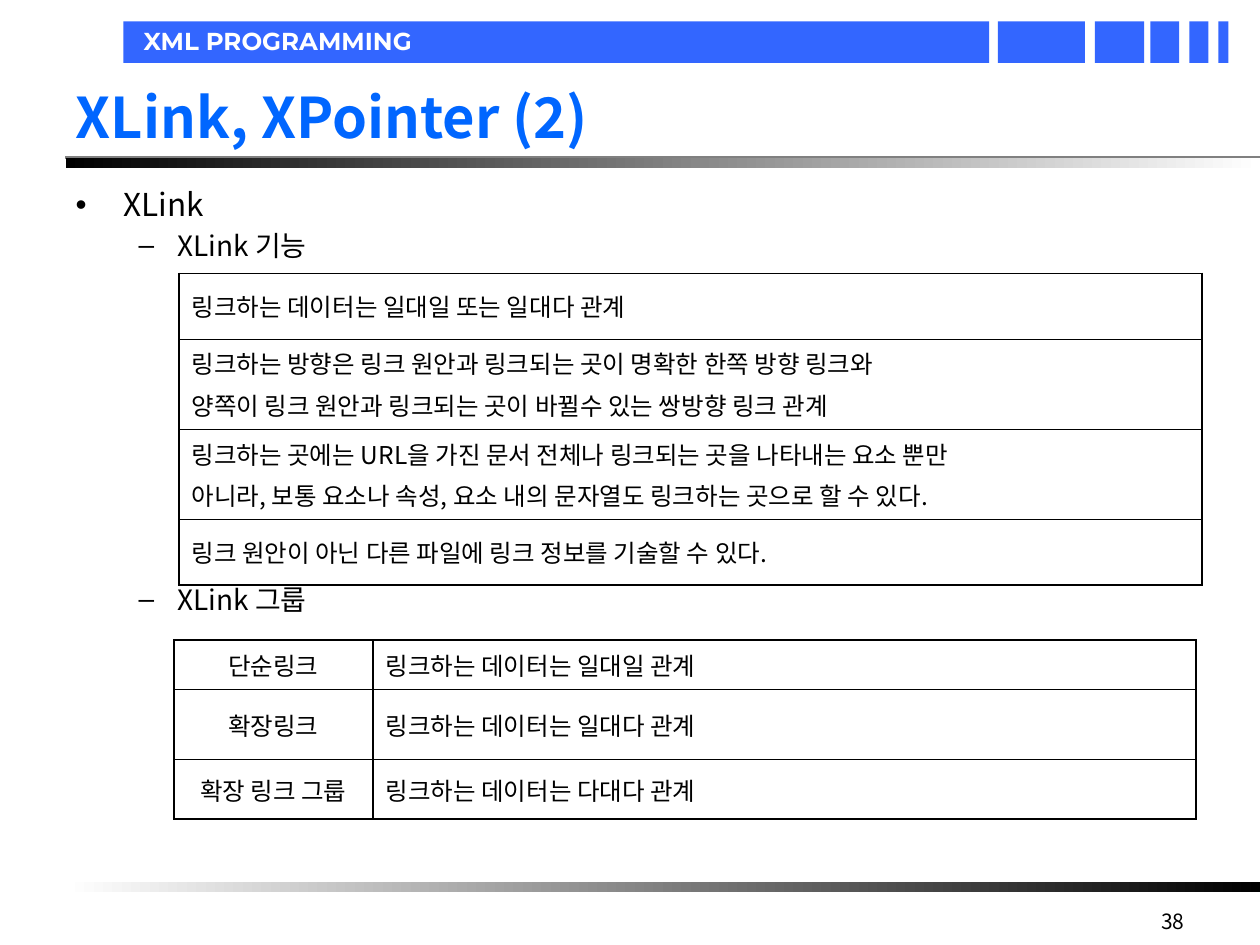
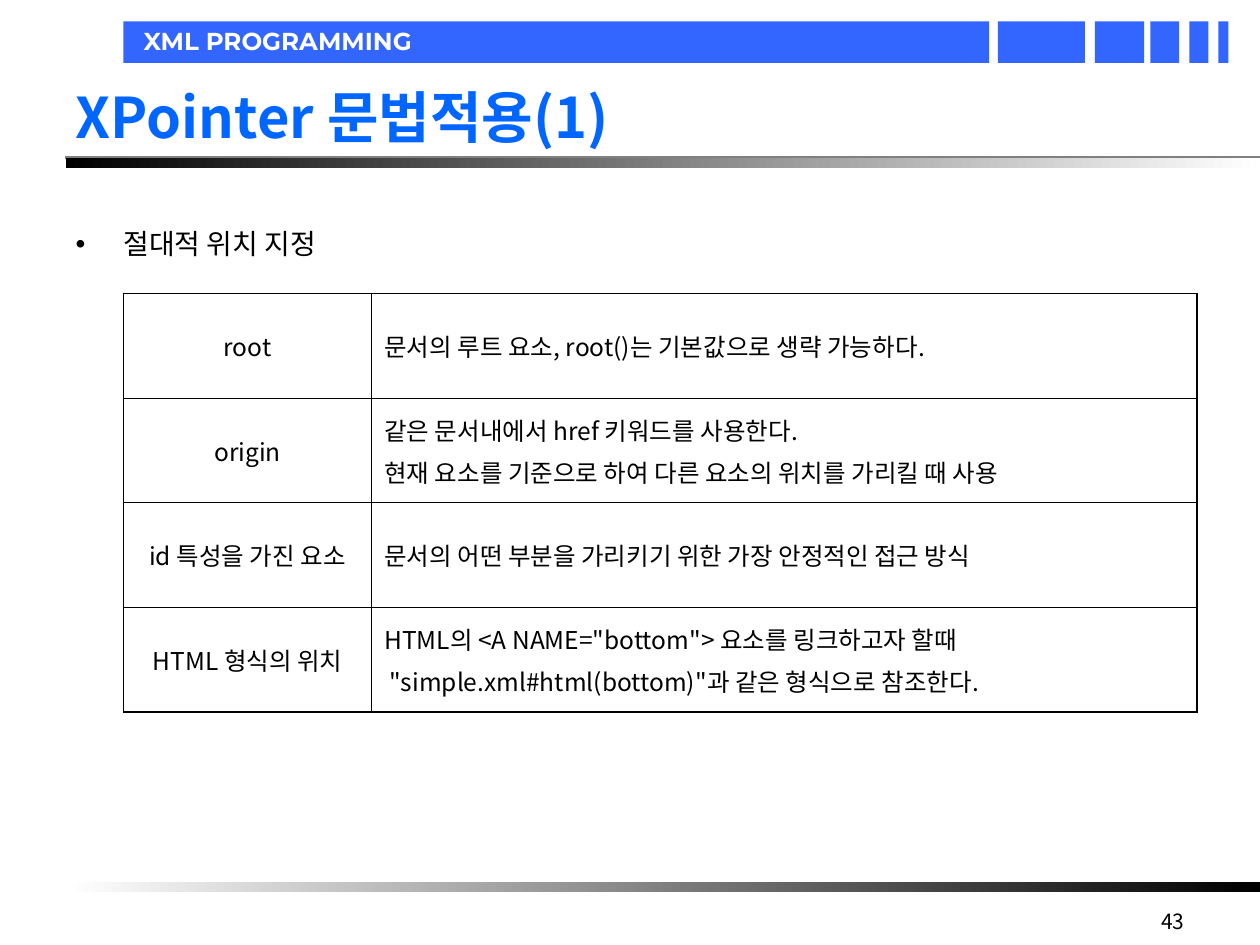
from dataclasses import dataclass

from lxml import etree
from pptx import Presentation
from pptx.dml.color import RGBColor
from pptx.enum.shapes import MSO_CONNECTOR, MSO_SHAPE
from pptx.enum.text import MSO_ANCHOR, MSO_AUTO_SIZE, PP_ALIGN
from pptx.oxml.ns import qn
from pptx.util import Inches, Pt

RECTANGLE = MSO_SHAPE.RECTANGLE
STRAIGHT = MSO_CONNECTOR.STRAIGHT
LEFT, CENTER, RIGHT = PP_ALIGN.LEFT, PP_ALIGN.CENTER, PP_ALIGN.RIGHT
TOP, MIDDLE = MSO_ANCHOR.TOP, MSO_ANCHOR.MIDDLE
NO_AUTOSIZE = MSO_AUTO_SIZE.NONE


@dataclass(frozen=True)
class Theme:
    band: str = "3366FF"
    title: str = "0066FF"
    ink: str = "000000"
    paper: str = "FFFFFF"
    rule: str = "808080"
    font: str = "Noto Sans CJK KR"
    band_font: str = "Montserrat"
    title_size: float = 32
    band_size: float = 14
    cell_size: float = 14
    page_size: float = 12
    cell_gap: float = 3.5
    list_spacing: float = 1.0
    thick: float = 1.08
    thin: float = 0.45
    rule_width: float = 1.5


THEME = Theme()


@dataclass(frozen=True)
class Box:
    left: float
    top: float
    width: float
    height: float

    def lengths(self) -> tuple:
        return tuple(Inches(v) for v in (self.left, self.top, self.width, self.height))


@dataclass(frozen=True)
class Style:
    size: float
    color: str = THEME.ink
    font: str = THEME.font
    bold: bool = False


@dataclass(frozen=True)
class Bullet:
    text: str
    size: float
    level: int = 0
    before: float = 0


@dataclass(frozen=True)
class Grid:
    left: float
    top: float
    columns: tuple
    row_heights: tuple
    rows: tuple


@dataclass(frozen=True)
class Page:
    title: str
    number: str
    list_box: Box
    bullets: tuple
    grids: tuple


CELL_STYLE = Style(THEME.cell_size)
TITLE_BOX = Box(0.5, 0.3, 9, 1.25)
NUMBER_BOX = Box(7.17, 7.16, 2.33, 0.29)
BAND_TEXT_BOX = Box(1.14, 0.21, 5.04, 0.23)
BAND_TOP, BAND_HEIGHT = 0.17, 0.33
BAND_BLOCKS = ((0.98, 6.87), (7.92, 0.69), (8.69, 0.39),
               (9.13, 0.23), (9.44, 0.15), (9.67, 0.08))
RULE_LEFT, RULE_TOP, RULE_LENGTH = 0.52, 1.25, 9.48
FOOT_TOP, BAR_HEIGHT = 7, 0.08
# Bullet sign, left margin and hanging indent by list level
LEVELS = (("•", 0.38, -0.38), ("–", 0.81, -0.31))

PAGES = (
    Page(
        "XLink, XPointer (2)", "38", Box(0.5, 1.42, 9.15, 4.95),
        (Bullet("XLink", 18),
         Bullet("XLink 기능", 16, 1, 3),
         Bullet("XLink 그룹", 16, 1, 183)),
        (Grid(1.42, 2.17, (8.12,), (0.52, 0.62, 0.62, 0.52), (
            ("링크하는 데이터는 일대일 또는 일대다 관계",),
            ("링크하는 방향은 링크 원안과 링크되는 곳이 명확한 한쪽 방향 링크와\n"
             "양쪽이 링크 원안과 링크되는 곳이 바뀔수 있는 쌍방향 링크 관계",),
            ("링크하는 곳에는 URL을 가진 문서 전체나 링크되는 곳을 나타내는 요소 뿐만\n"
             "아니라, 보통 요소나 속성, 요소 내의 문자열도 링크하는 곳으로 할 수 있다.",),
            ("링크 원안이 아닌 다른 파일에 링크 정보를 기술할 수 있다.",))),
         Grid(1.38, 5.08, (1.58, 6.53), (0.39, 0.56, 0.47), (
             ("단순링크", "링크하는 데이터는 일대일 관계"),
             ("확장링크", "링크하는 데이터는 일대다 관계"),
             ("확장 링크 그룹", "링크하는 데이터는 다대다 관계")))),
    ),
    Page(
        "XPointer 문법적용(1)", "43", Box(0.5, 1.75, 9.23, 4.95),
        (Bullet("절대적 위치 지정", 16),),
        (Grid(0.98, 2.33, (1.97, 6.55), (0.83,) * 4, (
            ("root", "문서의 루트 요소, root()는 기본값으로 생략 가능하다."),
            ("origin", "같은 문서내에서 href 키워드를 사용한다.\n"
                       "현재 요소를 기준으로 하여 다른 요소의 위치를 가리킬 때 사용"),
            ("id 특성을 가진 요소", "문서의 어떤 부분을 가리키기 위한 가장 안정적인 접근 방식"),
            ("HTML 형식의 위치", "HTML의 <A NAME=\"bottom\"> 요소를 링크하고자 할때\n"
                            " \"simple.xml#html(bottom)\"과 같은 형식으로 참조한다."))),),
    ),
)


def color(value: str) -> RGBColor:
    return RGBColor.from_string(value)


def set_all(target, values: dict) -> None:
    for name, value in values.items():
        setattr(target, name, value)


# Text
def add_span(para, text: str, style: Style) -> None:
    span = para.add_run()
    span.text = text
    set_all(span.font, {"size": Pt(style.size), "bold": style.bold, "name": style.font})
    span.font.color.rgb = color(style.color)
    east_asian = etree.SubElement(span._r.get_or_add_rPr(), qn("a:ea"))
    east_asian.set("typeface", style.font)


def write(frame, text: str, style: Style, align=LEFT, gap: float = 0) -> None:
    for index, line in enumerate(text.split("\n")):
        para = frame.add_paragraph() if index else frame.paragraphs[0]
        set_all(para, {"alignment": align, "space_before": Pt(gap if index else 0)})
        add_span(para, line, style)


def format_frame(frame, anchor, side: float = 0.1, end: float = 0.05) -> None:
    set_all(frame, {
        "word_wrap": True, "auto_size": NO_AUTOSIZE, "vertical_anchor": anchor,
        "margin_left": Inches(side), "margin_right": Inches(side),
        "margin_top": Inches(end), "margin_bottom": Inches(end),
    })


def place(shape, box: Box) -> None:
    set_all(shape, dict(zip(("left", "top", "width", "height"), box.lengths())))


def write_bullets(frame, bullets: tuple) -> None:
    for index, bullet in enumerate(bullets):
        para = frame.add_paragraph() if index else frame.paragraphs[0]
        sign, margin, indent = LEVELS[bullet.level]
        properties = para._p.get_or_add_pPr()
        properties.set("marL", str(Inches(margin)))
        properties.set("indent", str(Inches(indent)))
        etree.SubElement(properties, qn("a:buChar")).set("char", sign)
        set_all(para, {"level": bullet.level, "alignment": LEFT,
                       "line_spacing": THEME.list_spacing,
                       "space_before": Pt(bullet.before)})
        add_span(para, bullet.text, Style(bullet.size))


# Shared frame
def add_bar(slide, box: Box):
    bar = slide.shapes.add_shape(RECTANGLE, *box.lengths())
    bar.shadow.inherit = False
    bar.line.fill.background()
    return bar


def add_gradient_bar(slide, top: float, colors: tuple):
    bar = add_bar(slide, Box(RULE_LEFT, top, RULE_LENGTH, BAR_HEIGHT))
    bar.fill.gradient()
    bar.fill.gradient_angle = 0
    for stop, position, value in zip(bar.fill.gradient_stops, (0, 1), colors):
        stop.position = position
        stop.color.rgb = color(value)
    return bar


def build_layout(layout, slide) -> None:
    """Draw the header and footer bands on a slide and move them to its layout."""
    for placeholder in list(layout.placeholders)[2:]:
        layout.shapes.element.remove(placeholder.element)
    parts = []
    for left, width in BAND_BLOCKS:
        block = add_bar(slide, Box(left, BAND_TOP, width, BAND_HEIGHT))
        block.fill.solid()
        block.fill.fore_color.rgb = color(THEME.band)
        parts.append(block)

    label = slide.shapes.add_textbox(*BAND_TEXT_BOX.lengths())
    format_frame(label.text_frame, MIDDLE, 0, 0)
    write(label.text_frame, "XML PROGRAMMING",
          Style(THEME.band_size, THEME.paper, THEME.band_font, True))

    rule = slide.shapes.add_connector(
        STRAIGHT, Inches(RULE_LEFT), Inches(RULE_TOP),
        Inches(RULE_LEFT + RULE_LENGTH), Inches(RULE_TOP))
    rule.line.color.rgb = color(THEME.rule)
    rule.line.width = Pt(THEME.rule_width)
    etree.SubElement(rule.element.spPr, qn("a:effectLst"))

    parts += [label, rule,
              add_gradient_bar(slide, RULE_TOP, (THEME.ink, THEME.paper)),
              add_gradient_bar(slide, FOOT_TOP, (THEME.paper, THEME.ink))]
    for part in parts:
        layout.shapes.element.append(part.element)


# Tables
def add_border(cell, side: str, width: float) -> None:
    line = etree.SubElement(cell._tc.get_or_add_tcPr(), qn(f"a:{side}"))
    line.set("w", str(Pt(width)))
    fill = etree.SubElement(line, qn("a:solidFill"))
    etree.SubElement(fill, qn("a:srgbClr")).set("val", THEME.ink)


def add_grid(slide, grid: Grid) -> None:
    box = Box(grid.left, grid.top, sum(grid.columns), sum(grid.row_heights))
    table = slide.shapes.add_table(
        len(grid.rows), len(grid.columns), *box.lengths()).table
    set_all(table, {"first_row": False, "horz_banding": False})
    for column, width in zip(table.columns, grid.columns):
        column.width = Inches(width)
    for row, height in zip(table.rows, grid.row_heights):
        row.height = Inches(height)
    last = len(grid.rows) - 1
    for r, texts in enumerate(grid.rows):
        borders = {"lnL": THEME.thick, "lnR": THEME.thick,
                   "lnT": THEME.thin if r else THEME.thick,
                   "lnB": THEME.thin if r < last else THEME.thick}
        for c, text in enumerate(texts):
            cell = table.cell(r, c)
            cell.vertical_anchor = MIDDLE
            for side, width in borders.items():
                add_border(cell, side, width)
            cell.fill.background()
            is_label = c == 0 and len(texts) > 1
            write(cell.text_frame, text, CELL_STYLE,
                  CENTER if is_label else LEFT, THEME.cell_gap)


# Slides
def fill_slide(slide, page: Page) -> None:
    title, body = slide.shapes.title, slide.placeholders[1]
    place(title, TITLE_BOX)
    format_frame(title.text_frame, MIDDLE)
    write(title.text_frame, page.title,
          Style(THEME.title_size, THEME.title, bold=True))
    place(body, page.list_box)
    format_frame(body.text_frame, TOP)
    write_bullets(body.text_frame, page.bullets)
    for grid in page.grids:
        add_grid(slide, grid)
    number = slide.shapes.add_textbox(*NUMBER_BOX.lengths())
    format_frame(number.text_frame, TOP)
    write(number.text_frame, page.number, Style(THEME.page_size), RIGHT)


def main() -> None:
    deck = Presentation()
    deck.slide_width, deck.slide_height = Inches(10), Inches(7.5)
    layout = deck.slide_layouts[1]
    slides = [deck.slides.add_slide(layout) for _ in PAGES]
    build_layout(layout, slides[0])
    for slide, page in zip(slides, PAGES):
        fill_slide(slide, page)
    deck.save("out.pptx")


if __name__ == "__main__":
    main()
